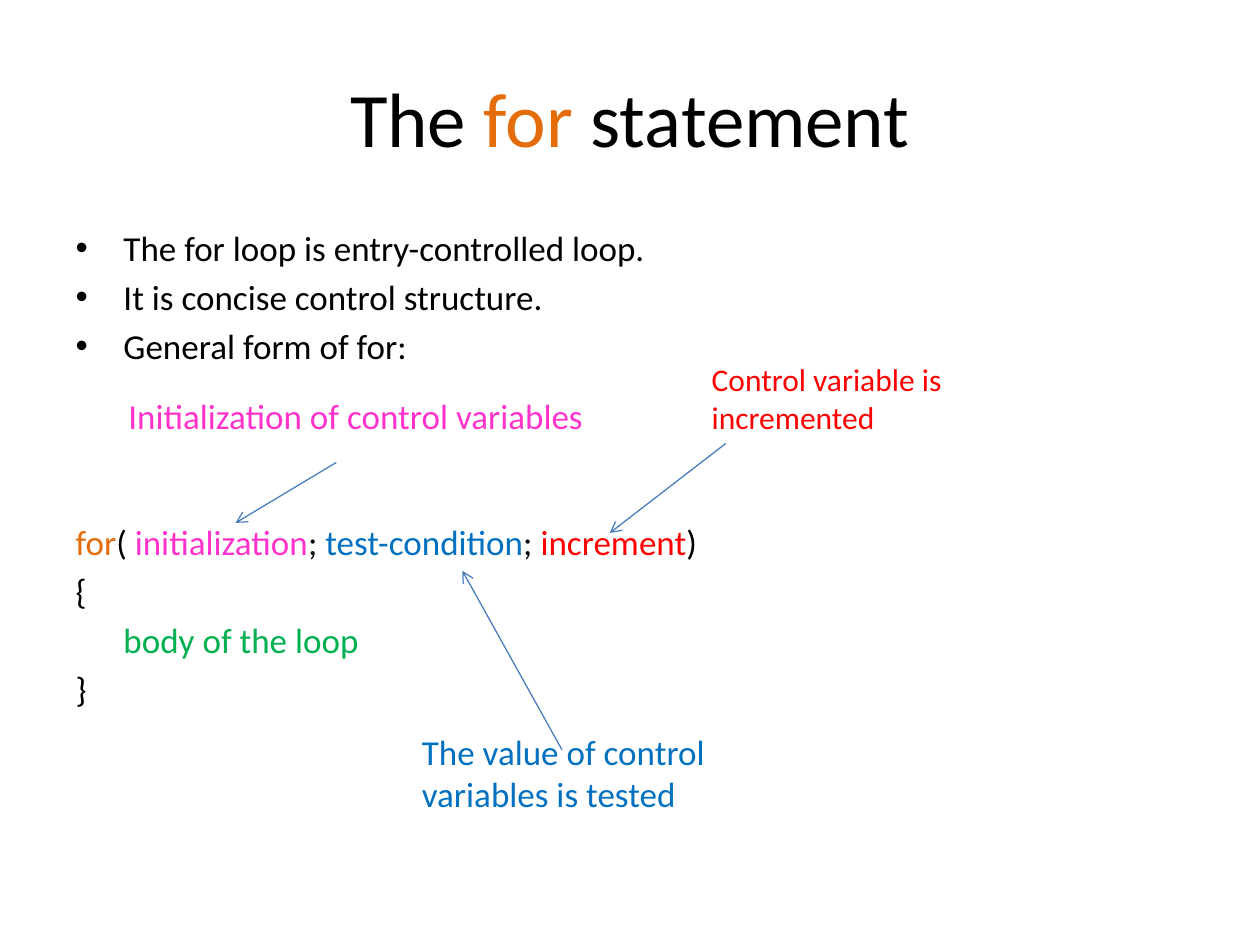
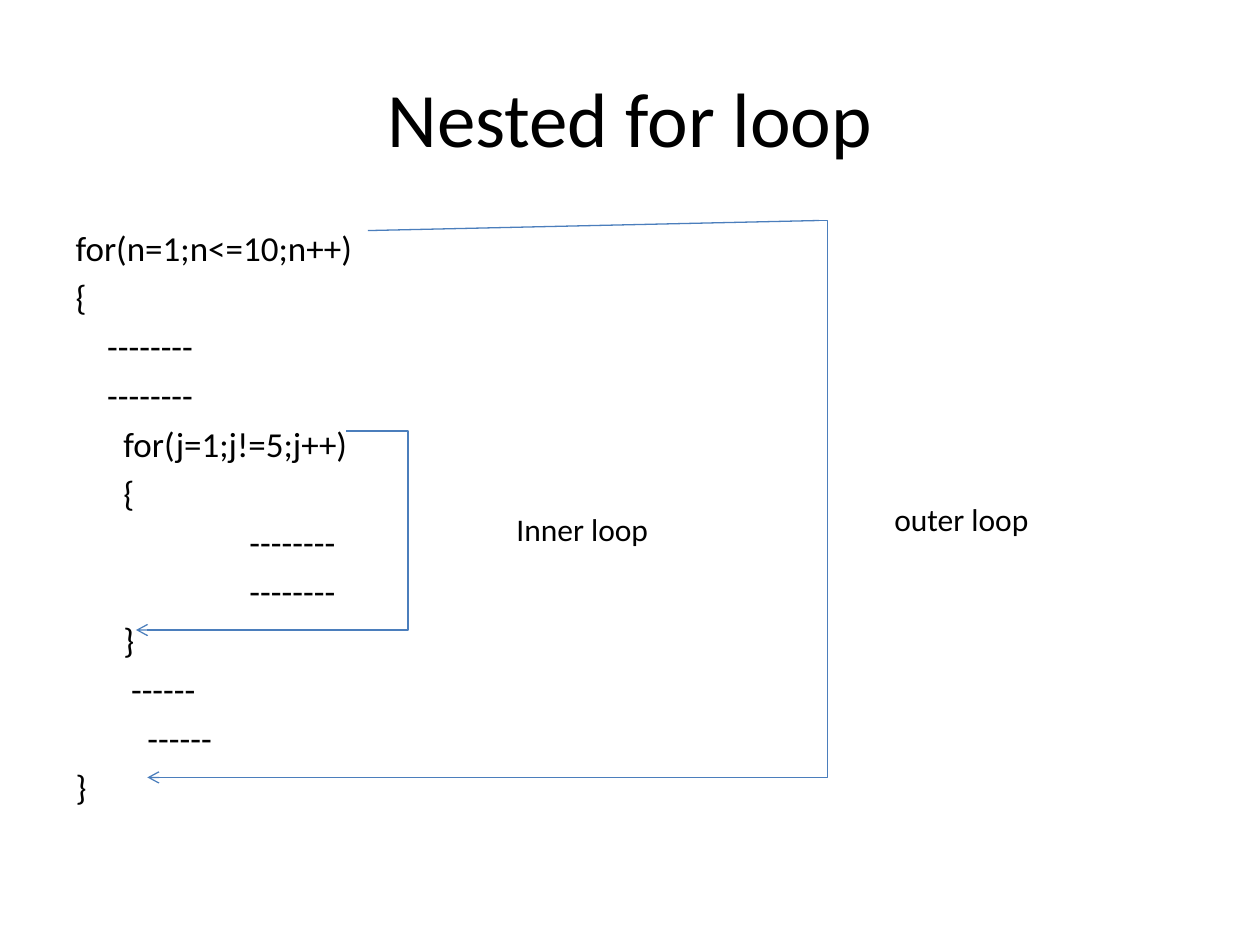
"""Builds two slides on the for statement and nested for loops."""
from lxml import etree
from pptx import Presentation
from pptx.dml.color import RGBColor
from pptx.enum.shapes import MSO_CONNECTOR
from pptx.enum.text import MSO_ANCHOR, MSO_AUTO_SIZE, PP_ALIGN
from pptx.oxml.ns import qn
from pptx.util import Inches, Pt

STRAIGHT, ELBOW = MSO_CONNECTOR.STRAIGHT, MSO_CONNECTOR.ELBOW
MIDDLE, CENTER = MSO_ANCHOR.MIDDLE, PP_ALIGN.CENTER
GROW = MSO_AUTO_SIZE.SHAPE_TO_FIT_TEXT

FONT = "Calibri"
BLACK, ORANGE, PINK = "000000", "E46C0A", "FF33CC"
BLUE, RED, GREEN, LINE = "0070C0", "FF0000", "00B050", "4B7EBC"
TITLE_BOX = (0.5, 0.3, 9, 1.25)
BODY_BOX = (0.5, 1.75, 9, 4.95)
STEP = 0.38


def paint(color, value):
    color.rgb = RGBColor.from_string(value)


def place(shape, box):
    shape.left, shape.top, shape.width, shape.height = map(Inches, box)


def write(para, text, size=20, color=BLACK):
    """Add text, or a list of (text, color) parts, to a paragraph."""
    parts = [(text, color)] if isinstance(text, str) else text
    for words, tone in parts:
        run = para.add_run()
        run.text = words
        run.font.name, run.font.size = FONT, Pt(size)
        paint(run.font.color, tone)


def add_title(slide, text):
    title = slide.shapes.title
    place(title, TITLE_BOX)
    frame = title.text_frame
    frame.vertical_anchor = MIDDLE
    para = frame.paragraphs[0]
    para.alignment = CENTER
    write(para, text, size=44)


def add_body(slide, rows):
    """Fill the body with rows of (text, left margin, format)."""
    body = slide.placeholders[1]
    place(body, BODY_BOX)
    frame = body.text_frame
    for i, (text, left, form) in enumerate(rows):
        para = frame.add_paragraph() if i else frame.paragraphs[0]
        para.space_before = Pt(form.get("before", 4))
        props = para._p.get_or_add_pPr()
        bullet = form.get("bullet", False)
        props.set("marL", str(Inches(left)))
        props.set("indent", str(Inches(-STEP if bullet else 0)))
        if not bullet:
            etree.SubElement(props, qn("a:buNone"))
        write(para, text, color=form.get("color", BLACK))


def add_label(slide, box, text, **form):
    label = slide.shapes.add_textbox(*map(Inches, box))
    frame = label.text_frame
    frame.word_wrap = True
    frame.auto_size = GROW
    write(frame.paragraphs[0], text, **form)


def add_line(slide, start, end, arrow=True, bend=None):
    """Draw a line; bend is the x of the upright part of an elbow."""
    kind = STRAIGHT if bend is None else ELBOW
    line = slide.shapes.add_connector(kind, *map(Inches, start + end))
    line.line.width = Pt(0.75)
    paint(line.line.color, LINE)
    props = line._element.spPr
    if arrow:
        etree.SubElement(props.find(qn("a:ln")), qn("a:tailEnd"), type="arrow")
    if bend is not None:
        share = round((bend - start[0]) / (end[0] - start[0]) * 100000)
        guides = props.find(qn("a:prstGeom")).get_or_add_avLst()
        etree.SubElement(guides, qn("a:gd"), name="adj1", fmla=f"val {share}")
    etree.SubElement(props, qn("a:effectLst"))


def add_slide(deck, title, rows):
    slide = deck.slides.add_slide(deck.slide_layouts[1])
    add_title(slide, title)
    add_body(slide, rows)
    return slide


def build_form(deck):
    """Build the slide on the general form of for."""
    dot = {"bullet": True}
    head = [("for", ORANGE), ("( ", BLACK), ("initialization", PINK),
            ("; ", BLACK), ("test-condition", BLUE), ("; ", BLACK),
            ("increment", RED), (")", BLACK)]
    rows = [
        ("The for loop is entry-controlled loop.", STEP, dot),
        ("It is concise control structure.", STEP, dot),
        ("General form of for:", STEP, dot),
        (head, 0, {"before": 88}),
        ("{", 0, {}),
        ("body of the loop", STEP, {"color": GREEN}),
        ("}", 0, {}),
    ]
    title = [("The ", BLACK), ("for", ORANGE), (" statement", BLACK)]
    slide = add_slide(deck, title, rows)
    add_label(slide, (0.92, 3.08, 4.58, 0.44),
              "Initialization of control variables", color=PINK)
    add_label(slide, (3.25, 5.75, 3.25, 0.77),
              "The value of control variables is tested", color=BLUE)
    add_label(slide, (5.55, 2.81, 2.5, 0.71),
              "Control variable is incremented", size=18, color=RED)
    add_line(slide, (2.67, 3.67), (1.87, 4.15))
    add_line(slide, (4.46, 5.95), (3.67, 4.53))
    add_line(slide, (5.76, 3.52), (4.84, 4.23))


def build_nest(deck):
    """Build the slide on nested loops."""
    dashes = "-" * 8
    code = [
        ("for(n=1;n<=10;n++)", 0), ("{", 0),
        (dashes, 0.25), (dashes, 0.25),
        ("for(j=1;j!=5;j++)", STEP), ("{", STEP),
        (dashes, 1.38), (dashes, 1.38),
        ("}", STEP), ("------", 0.44), ("------", 0.57), ("}", 0),
    ]
    rows = [(text, left, {}) for text, left in code]
    slide = add_slide(deck, "Nested for loop", rows)
    add_label(slide, (7, 3.92, 2.04, 0.4), "outer loop", size=18)
    add_label(slide, (4, 4, 1.45, 0.4), "Inner loop", size=18)
    add_line(slide, (2.75, 3.42), (1.08, 5), bend=3.24)
    add_line(slide, (6.5, 1.75), (1.17, 6.17), bend=6.57)
    add_line(slide, (2.92, 1.83), (6.5, 1.75), arrow=False)


def main():
    deck = Presentation()
    deck.slide_width, deck.slide_height = Inches(10), Inches(7.5)
    build_form(deck)
    build_nest(deck)
    deck.save("out.pptx")


main()
